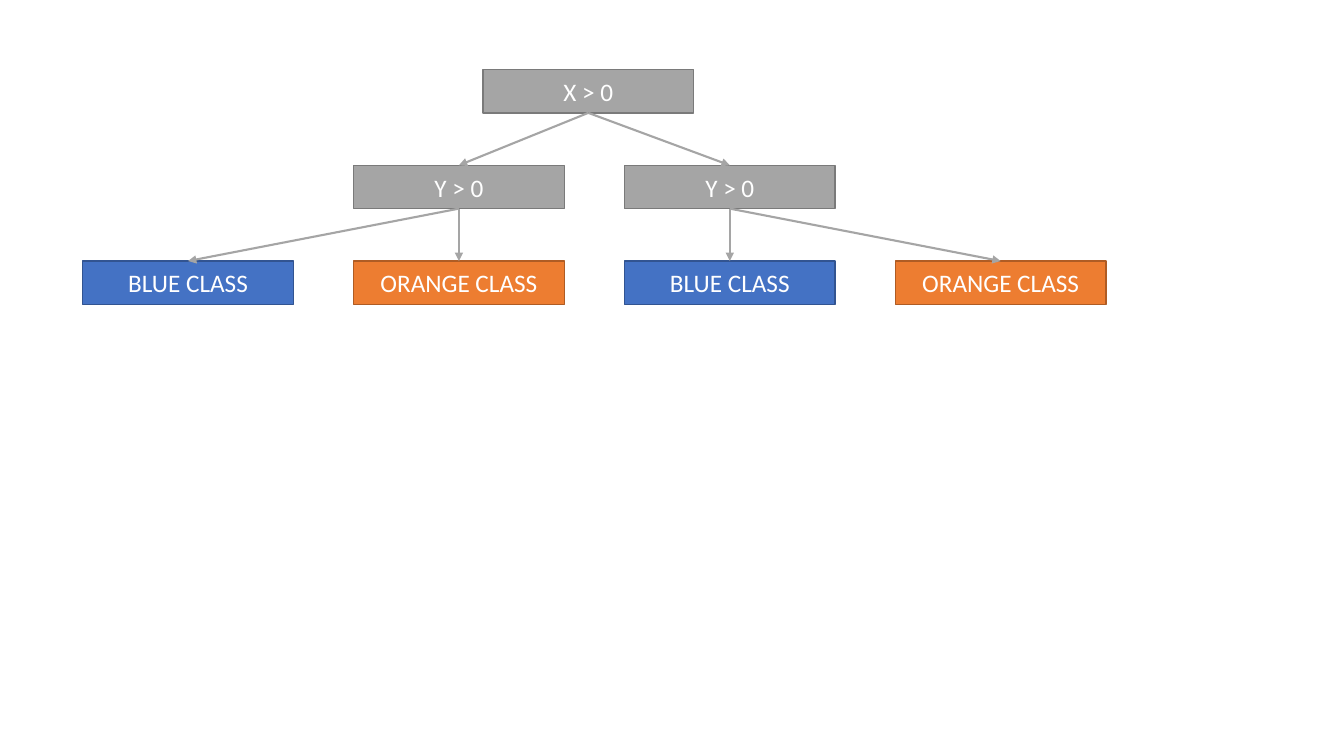
from dataclasses import dataclass

from lxml import etree
from pptx import Presentation
from pptx.dml.color import RGBColor
from pptx.enum.shapes import MSO_CONNECTOR, MSO_SHAPE
from pptx.enum.text import MSO_ANCHOR, PP_ALIGN
from pptx.oxml.ns import qn
from pptx.shapes.autoshape import Shape
from pptx.shapes.group import GroupShape
from pptx.text.text import TextFrame
from pptx.util import Inches, Pt

RECTANGLE = MSO_SHAPE.RECTANGLE
STRAIGHT = MSO_CONNECTOR.STRAIGHT
MIDDLE = MSO_ANCHOR.MIDDLE
CENTER = PP_ALIGN.CENTER
TOP_SITE, BOTTOM_SITE = 0, 2


@dataclass(frozen=True)
class Palette:
    fill: str
    line: str


@dataclass(frozen=True)
class Theme:
    test: Palette = Palette("A5A5A5", "7A7A7A")
    blue: Palette = Palette("4472C4", "325491")
    orange: Palette = Palette("ED7D31", "AF5C24")
    text: str = "FFFFFF"
    arrow: str = "A5A5A5"
    font: str = "Calibri"
    size: float = 18
    border: float = 1
    arrow_width: float = 1.5


@dataclass(frozen=True)
class Node:
    text: str
    left: float
    level: int
    palette: Palette


THEME = Theme()
NODE_WIDTH, NODE_HEIGHT = 2.09, 0.43
FIRST_TOP, LEVEL_PITCH = 0.69, 0.95
FIRST_LEFT, LAST_LEFT = 0.82, 8.88
ROOT_LEFT = 4.79
COLUMNS = [FIRST_LEFT + i * (LAST_LEFT - FIRST_LEFT) / 3 for i in range(4)]

NODES = [
    Node("X > 0", ROOT_LEFT, 0, THEME.test),
    Node("Y > 0", COLUMNS[1], 1, THEME.test),
    Node("Y > 0", COLUMNS[2], 1, THEME.test),
    Node("BLUE CLASS", COLUMNS[0], 2, THEME.blue),
    Node("ORANGE CLASS", COLUMNS[1], 2, THEME.orange),
    Node("BLUE CLASS", COLUMNS[2], 2, THEME.blue),
    Node("ORANGE CLASS", COLUMNS[3], 2, THEME.orange),
]
# Parent and child positions in NODES
BRANCHES = [(0, 2), (2, 6), (2, 5), (1, 4), (1, 3), (0, 1)]


def write_text(tf: TextFrame, text: str, *, size: float = THEME.size,
               color: str = THEME.text, font: str = THEME.font) -> None:
    tf.word_wrap = True
    tf.vertical_anchor = MIDDLE
    p = tf.paragraphs[0]
    p.alignment = CENTER
    r = p.add_run()
    r.text = text
    r.font.size = Pt(size)
    r.font.name = font
    r.font.color.rgb = RGBColor.from_string(color)


def draw_node(tree: GroupShape, node: Node) -> Shape:
    sp = tree.shapes.add_shape(
        RECTANGLE, Inches(node.left),
        Inches(FIRST_TOP + node.level * LEVEL_PITCH),
        Inches(NODE_WIDTH), Inches(NODE_HEIGHT))
    sp.shadow.inherit = False
    sp.fill.solid()
    sp.fill.fore_color.rgb = RGBColor.from_string(node.palette.fill)
    sp.line.color.rgb = RGBColor.from_string(node.palette.line)
    sp.line.width = Pt(THEME.border)
    write_text(sp.text_frame, node.text)
    return sp


def draw_branch(tree: GroupShape, parent: Shape, child: Shape) -> None:
    """Draw an arrow from the parent's bottom centre to the child's top centre."""
    arrow = tree.shapes.add_connector(
        STRAIGHT, parent.left + parent.width // 2, parent.top + parent.height,
        child.left + child.width // 2, child.top)
    arrow.begin_connect(parent, BOTTOM_SITE)
    arrow.end_connect(child, TOP_SITE)
    arrow.line.color.rgb = RGBColor.from_string(THEME.arrow)
    arrow.line.width = Pt(THEME.arrow_width)
    etree.SubElement(arrow.line._get_or_add_ln(), qn("a:tailEnd"), type="triangle")
    etree.SubElement(arrow._element.spPr, qn("a:effectLst"))


def main() -> None:
    prs = Presentation()
    prs.slide_width, prs.slide_height = Inches(13.33), Inches(7.5)
    blank_layout = prs.slide_layouts[6]
    s = prs.slides.add_slide(blank_layout)
    tree = s.shapes.add_group_shape()
    boxes = [draw_node(tree, node) for node in NODES]
    for parent, child in BRANCHES:
        draw_branch(tree, boxes[parent], boxes[child])
    prs.save("out.pptx")


if __name__ == "__main__":
    main()
